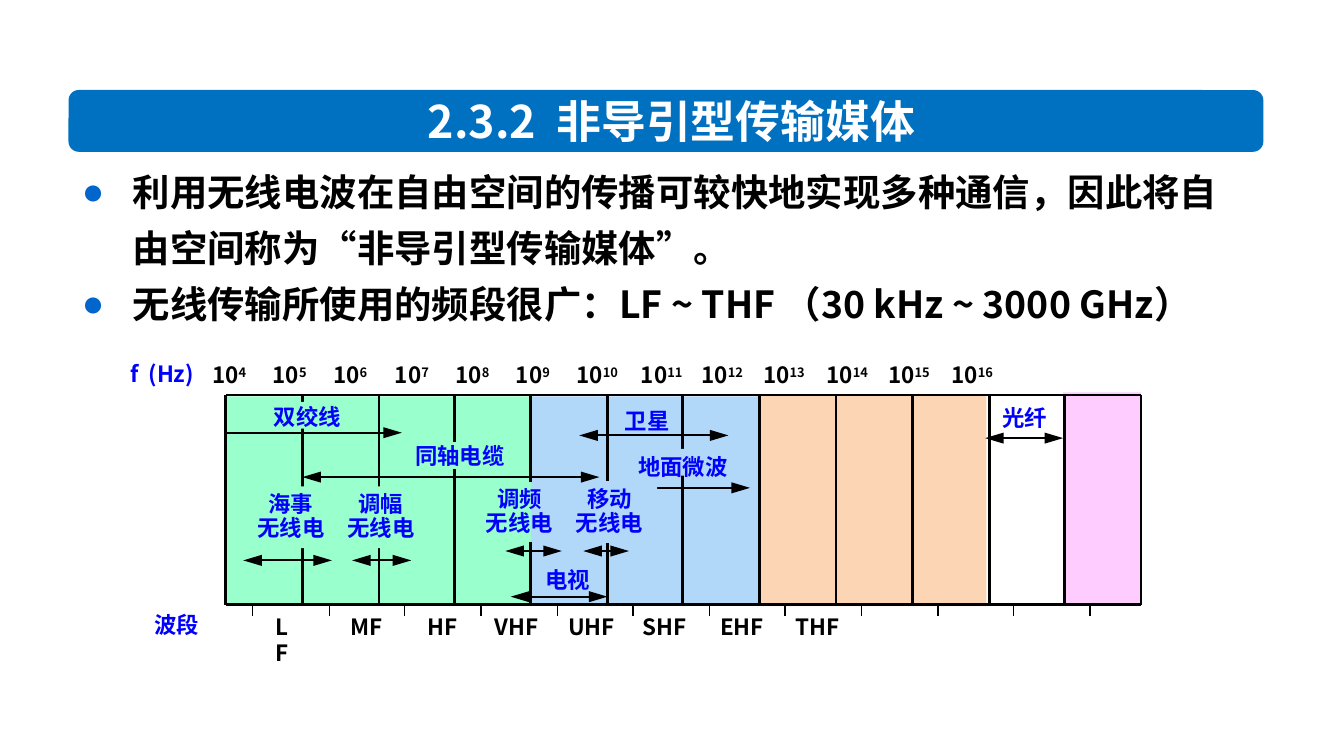
from dataclasses import dataclass

from lxml.etree import SubElement
from pptx import Presentation
from pptx.dml.color import RGBColor
from pptx.enum.shapes import MSO_CONNECTOR, MSO_SHAPE
from pptx.enum.text import MSO_ANCHOR, PP_ALIGN
from pptx.oxml.ns import qn
from pptx.util import Emu, Pt

EMU_PER_PX = 9144


@dataclass(frozen=True)
class Theme:
    """Colours, font and type sizes of the slide."""
    font: str = "Noto Sans CJK SC"
    bullet_font: str = "Arial"
    title_size: int = 24
    body_size: int = 20
    label_size: int = 12
    bar: str = "0070C0"
    bullet: str = "0066CC"
    ink: str = "000000"
    label: str = "0000FF"
    paper: str = "FFFFFF"
    green: str = "99FFCC"
    blue: str = "B1D8F9"
    orange: str = "FCD5B5"
    pink: str = "FFCCFF"


THEME = Theme()
CHART_LEFT, CHART_RIGHT, CHART_TOP, CHART_BOTTOM = 168, 849, 294, 450
COLUMNS = 12
SPLIT_COLUMN = 4
TICK_LEFT, TICK_RIGHT = 188, 811

BODY = (
    "利用无线电波在自由空间的传播可较快地实现多种通信，因此将自由空间称为“非导引型传输媒体”。",
    "无线传输所使用的频段很广：\tLF ~ THF （30 kHz ~ 3000 GHz）",
)
SPECTRUM = (
    (168, 295, 229, 155, THEME.green),
    (395, 295, 170, 155, THEME.blue),
    (565, 294, 169, 157, THEME.orange),
    (791, 292, 58, 158, THEME.pink),
)
RANGES = (
    (431, 542, 324, 1), (467, 558, 363, 1), (376, 418, 410, 1),
    (434, 468, 410, 1), (733, 791, 326, 0.75), (181, 247, 417, 1),
    (262, 306, 417, 1), (380, 452, 444, 1),
)
PATCHES = (
    (465, 334, 88, 20, THEME.blue), (294, 329, 88, 20, THEME.green),
    (188, 299, 72, 20, THEME.green), (181, 362, 70, 46, THEME.green),
    (248, 362, 71, 46, THEME.green), (418, 358, 71, 46, THEME.blue),
    (460, 299, 42, 23, THEME.blue), (402, 415, 42, 23, THEME.blue),
)
MEDIA = (
    ("f  (Hz)", 87, 263, 73), ("波段", 105, 450, 53),
    ("光纤", 736, 296, 53), ("地面微波", 465, 332, 87),
    ("同轴电缆", 299, 324, 87), ("双绞线", 194, 295, 71),
    ("卫星", 455, 298, 53), ("电视", 396, 416, 53),
)
RADIO = (("海事", 181, 362), ("调幅", 248, 362), ("移动", 418, 358), ("调频", 351, 358))
BANDS = (
    ("LF", 195, 39), ("MF", 251, 47), ("HF", 308, 43), ("VHF", 358, 55),
    ("UHF", 413, 56), ("SHF", 468, 53), ("EHF", 526, 53), ("THF", 582, 54),
)
EXPONENTS = range(4, 17)
EXPONENT_STOPS = (45, 90, 136, 181, 226, 271, 319, 364, 410, 457, 503, 550)


def px(length):
    """Turn px into EMU."""
    return Emu(length * EMU_PER_PX)


def set_format(target, values):
    """Set every attribute named in values."""
    for name, value in values.items():
        setattr(target, name, value)


def add_run(paragraph, text, size, color, raised=False):
    """Add one bold run in the slide font."""
    run = paragraph.add_run()
    run.text = text
    set_format(run.font, {"size": Pt(size), "bold": True, "name": THEME.font})
    run.font.fill.solid()
    run.font.fill.fore_color.rgb = RGBColor.from_string(color)
    properties = run.font._element
    SubElement(properties, qn("a:ea"), typeface=THEME.font)
    if raised:
        properties.set("baseline", "30000")


def add_text(slide, frame, lines=(), size=THEME.label_size, color=THEME.label,
             wrap=False, anchor=MSO_ANCHOR.MIDDLE, **paragraph_format):
    """Add a text box with one paragraph a line and return its text frame."""
    text_frame = slide.shapes.add_textbox(*map(px, frame)).text_frame
    set_format(text_frame, {"word_wrap": wrap, "vertical_anchor": anchor})
    for index, line in enumerate(lines):
        paragraph = text_frame.add_paragraph() if index else text_frame.paragraphs[0]
        set_format(paragraph, paragraph_format)
        add_run(paragraph, line, size, color)
    return text_frame


def add_block(slide, left, top, width, height, color, kind=MSO_SHAPE.RECTANGLE):
    """Add a plain filled shape."""
    block = slide.shapes.add_shape(kind, *map(px, (left, top, width, height)))
    block.shadow.inherit = False
    block.fill.solid()
    block.fill.fore_color.rgb = RGBColor.from_string(color)
    block.line.fill.background()


def add_line(slide, start, end, weight=1.5, arrows=()):
    """Add a straight line with arrowheads at the named ends."""
    line = slide.shapes.add_connector(MSO_CONNECTOR.STRAIGHT, *map(px, start + end))
    line.line.width = Pt(weight)
    line.line.color.rgb = RGBColor.from_string(THEME.ink)
    for arrow in arrows:
        SubElement(line.line._ln, qn(f"a:{arrow}"), type="triangle", w="med", len="lg")
    SubElement(line._element.spPr, qn("a:effectLst"))


def add_heading(slide):
    """Add the title on its bar."""
    add_block(slide, 51, 67, 889, 46, THEME.bar, MSO_SHAPE.ROUNDED_RECTANGLE)
    add_text(slide, (137, 71, 725, 37), ["2.3.2  非导引型传输媒体"], THEME.title_size,
             THEME.paper, wrap=True, alignment=PP_ALIGN.CENTER)


def add_body(slide):
    """Add the bulleted statements."""
    text_frame = add_text(slide, (51, 113, 889, 363), BODY, THEME.body_size, THEME.ink,
                          wrap=True, anchor=MSO_ANCHOR.TOP, line_spacing=Pt(30))
    for paragraph in text_frame.paragraphs:
        properties = paragraph._p.get_or_add_pPr()
        properties.set("marL", str(px(38)))
        properties.set("indent", str(px(-38)))
        bullet_color = SubElement(properties, qn("a:buClr"))
        SubElement(bullet_color, qn("a:srgbClr"), val=THEME.bullet)
        SubElement(properties, qn("a:buFont"), typeface=THEME.bullet_font)
        SubElement(properties, qn("a:buChar"), char="●")


def add_grid(slide):
    """Add the coloured spectrum, its column lines and its ticks."""
    for region in SPECTRUM:
        add_block(slide, *region)
    for y in (CHART_TOP, CHART_BOTTOM):
        add_line(slide, (CHART_LEFT, y), (CHART_RIGHT, y))
    for column in range(COLUMNS + 1):
        x = CHART_LEFT + round((CHART_RIGHT - CHART_LEFT) * column / COLUMNS)
        gap = (359, 403) if column == SPLIT_COLUMN else ()
        stops = (CHART_TOP, *gap, CHART_BOTTOM)
        for top, bottom in zip(stops[::2], stops[1::2]):
            add_line(slide, (x, top), (x, bottom))
    for tick in range(COLUMNS):
        x = TICK_LEFT + round((TICK_RIGHT - TICK_LEFT) * tick / (COLUMNS - 1))
        add_line(slide, (x, 451), (x, 458), 0.75)


def add_ranges(slide):
    """Add the frequency range arrows and the media labels."""
    both = ("headEnd", "tailEnd")
    add_line(slide, (168, 322), (299, 322), 1, both[1:])
    for left, right, y, weight in RANGES:
        add_line(slide, (left, y), (right, y), weight, both)
    for patch in PATCHES:
        add_block(slide, *patch)
    add_line(slide, (225, 355), (446, 355), 1, both)
    for text, left, top, width in MEDIA:
        add_text(slide, (left, top, width, 30), [text])
    for service, left, top in RADIO:
        add_text(slide, (left, top, 71, 46), [service, "无线电"],
                 alignment=PP_ALIGN.CENTER, line_spacing=0.9)


def add_scales(slide):
    """Add the powers of ten above and the band names below."""
    scale = add_text(slide, (148, 264, 739, 30), wrap=True).paragraphs[0]
    tabs = SubElement(scale._p.get_or_add_pPr(), qn("a:tabLst"))
    for stop in EXPONENT_STOPS:
        SubElement(tabs, qn("a:tab"), pos=str(px(stop)), algn="l")
    for exponent in EXPONENTS:
        base = "10" if exponent == EXPONENTS[0] else "\t10"
        add_run(scale, base, THEME.label_size, THEME.ink)
        add_run(scale, str(exponent), THEME.label_size, THEME.ink, raised=True)
    for band, left, width in BANDS:
        add_text(slide, (left, 451, width, 30), [band], color=THEME.ink,
                 wrap=True, anchor=MSO_ANCHOR.TOP)


def main():
    """Build and save the slide."""
    presentation = Presentation()
    width = px(1000)
    set_format(presentation, {"slide_width": width, "slide_height": Emu(width * 9 // 16)})
    slide = presentation.slides.add_slide(presentation.slide_layouts[6])
    for add_part in (add_heading, add_body, add_grid, add_ranges, add_scales):
        add_part(slide)
    presentation.save("out.pptx")


if __name__ == "__main__":
    main()
